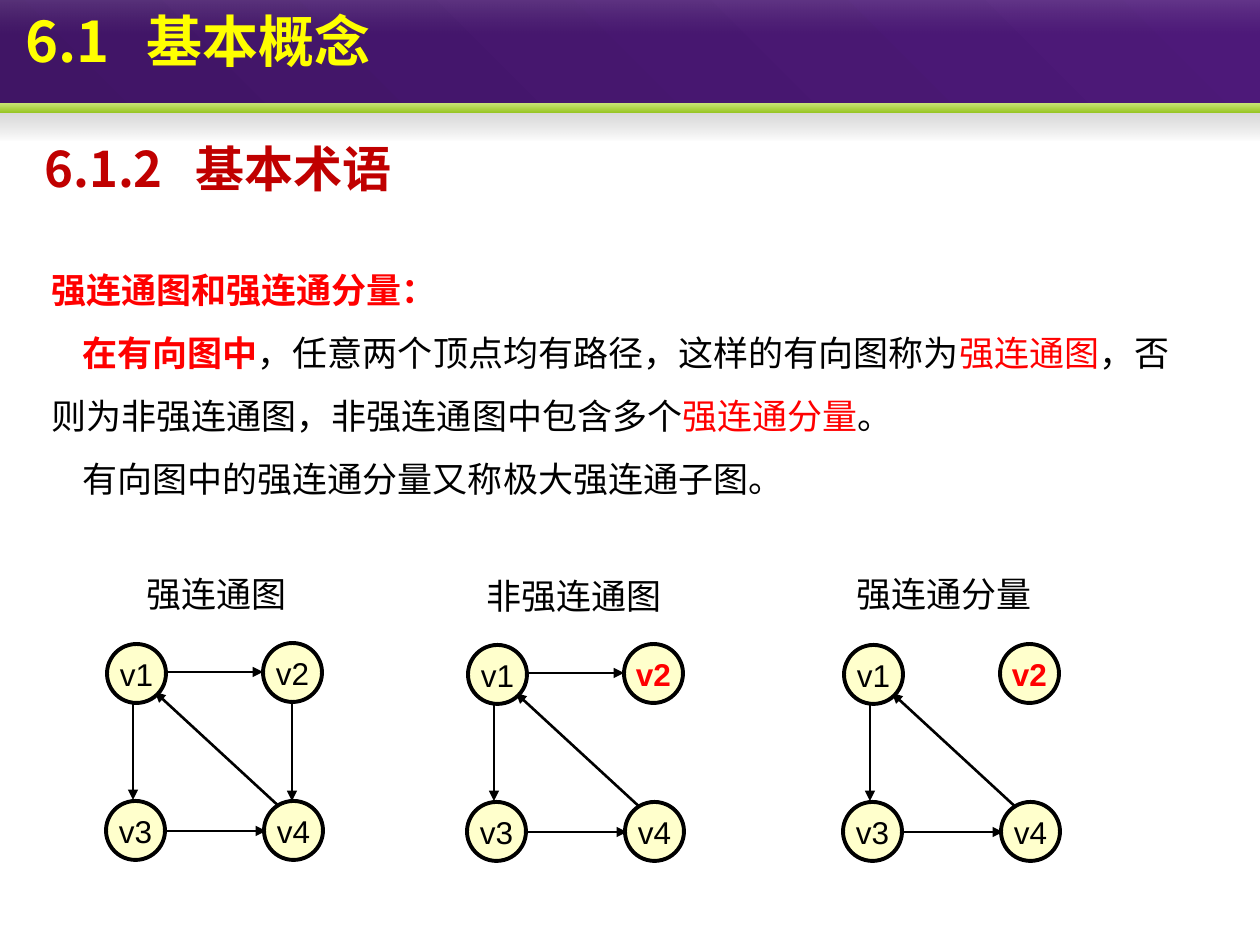
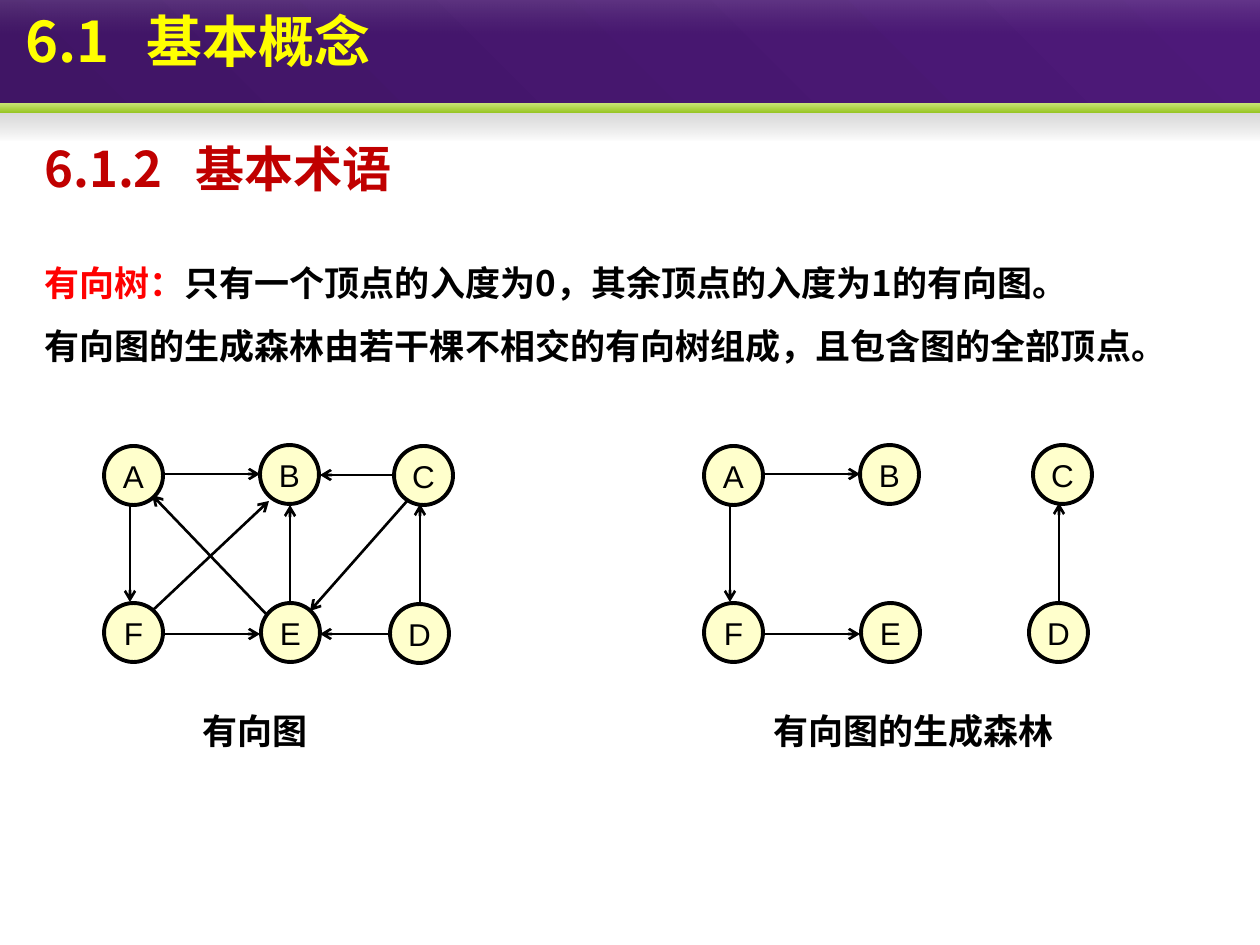
from lxml.etree import SubElement
from pptx import Presentation
from pptx.dml.color import RGBColor
from pptx.enum.shapes import MSO_CONNECTOR, MSO_SHAPE
from pptx.enum.text import MSO_ANCHOR, MSO_AUTO_SIZE, PP_ALIGN
from pptx.oxml.ns import qn
from pptx.util import Inches, Pt

SCALE = Inches(1) / 126
SLIDE_WIDTH, SLIDE_HEIGHT = 1260, 945
NODE_SIZE = 59

BLACK = RGBColor(0x00, 0x00, 0x00)
RED = RGBColor(0xFF, 0x00, 0x00)
DARK_RED = RGBColor(0xC0, 0x00, 0x00)
YELLOW = RGBColor(0xFF, 0xFF, 0x00)
CREAM = RGBColor(0xFF, 0xFF, 0xCC)
WHITE = RGBColor(0xFF, 0xFF, 0xFF)
SILVER = RGBColor(0xB6, 0xB6, 0xB6)
GREY = RGBColor(0x80, 0x80, 0x80)
DARK_GREY = RGBColor(0x5C, 0x5C, 0x5C)
DEEP_PURPLE = RGBColor(0x40, 0x15, 0x65)
PURPLE = RGBColor(0x4D, 0x19, 0x79)
LIGHT_GREEN = RGBColor(0xC9, 0xE5, 0x76)
GREEN = RGBColor(0x97, 0xC5, 0x23)

CJK_FONT = "Noto Sans CJK SC"
TITLE_FONT = {"name": CJK_FONT, "size": Pt(32), "bold": True}
SUBTITLE_FONT = {"name": CJK_FONT, "size": Pt(28), "bold": True}
BODY_FONT = {"name": CJK_FONT, "size": Pt(20)}
LABEL_FONT = {"name": "Arial", "size": Pt(20)}
NODE_FONT = {"name": "Arial", "size": Pt(18)}

BODY_FRAME = {"word_wrap": True, "auto_size": MSO_AUTO_SIZE.SHAPE_TO_FIT_TEXT}
LABEL_FRAME = {"word_wrap": False, "auto_size": MSO_AUTO_SIZE.SHAPE_TO_FIT_TEXT}
TITLE_FRAME = {"word_wrap": True, "auto_size": MSO_AUTO_SIZE.NONE,
               "vertical_anchor": MSO_ANCHOR.TOP}
SUBTITLE_FRAME = {"word_wrap": True, "vertical_anchor": MSO_ANCHOR.MIDDLE}
NODE_FRAME = {"word_wrap": False, "vertical_anchor": MSO_ANCHOR.MIDDLE}

# Each band: box, top or start colour and opacity, end colour and opacity, angle
BANDS = [
    ((0, 0, SLIDE_WIDTH, 113), (DEEP_PURPLE, 100), (PURPLE, 100), 45),
    ((0, 111, SLIDE_WIDTH, 30), (GREY, 33), (DARK_GREY, 0), 270),
    ((0, 103, SLIDE_WIDTH, 10), (LIGHT_GREEN, 100), (GREEN, 100), 270),
    ((0, 0, SLIDE_WIDTH, 35), (WHITE, 13), (SILVER, 0), 270),
]

VERTICES = {"v1": (0, 0), "v2": (156, -1), "v3": (-1, 157), "v4": (157, 157)}
ARCS = {
    "v1v2": (58, 28, 156, 28), "v1v3": (26, 57, 26, 156),
    "v4v1": (176, 166, 48, 48), "v3v4": (59, 187, 159, 187),
    "v2v4": (185, 58, 185, 157),
}
LETTERS = {"A": (0, 0), "B": (156, -1), "C": (290, 0),
           "D": (286, 158), "E": (157, 157), "F": (0, 157)}
LETTER_ARCS = {
    "AB": (57, 28, 156, 28), "AF": (26, 57, 26, 156),
    "EB": (186, 158, 186, 59), "FB": (48, 165, 165, 55),
    "EA": (166, 172, 48, 49), "FE": (57, 188, 156, 188),
    "CB": (290, 29, 216, 29), "DC": (316, 157, 316, 58),
    "DE": (290, 188, 216, 188), "CE": (304, 54, 206, 165),
}


def px(*lengths):
    """Turn px lengths into EMU."""
    return [round(length * SCALE) for length in lengths]


def apply(target, formats):
    """Set every attribute named in a dict of format values."""
    for attribute, value in formats.items():
        setattr(target, attribute, value)


def add_run(paragraph, words, font, color=BLACK, bold=None):
    """Append a formatted run, with the CJK font for Chinese glyphs."""
    run = paragraph.add_run()
    run.text = words
    apply(run.font, font)
    if bold is not None:
        run.font.bold = bold
    run.font.color.rgb = color
    SubElement(run.font._element, qn("a:ea"), typeface=CJK_FONT)


def add_text_box(slide, box, frame_format):
    """Add an empty text box and return its frame."""
    frame = slide.shapes.add_textbox(*px(*box)).text_frame
    apply(frame, frame_format)
    return frame


def write_heading(paragraph, number, name, gap, font, color):
    """Write a section number and, at a tab stop, its name."""
    tabs = SubElement(paragraph._p.get_or_add_pPr(), qn("a:tabLst"))
    SubElement(tabs, qn("a:tab"), pos=str(px(gap)[0]), algn="l")
    add_run(paragraph, f"{number}\t{name}", font, color)


def add_band(slide, box, start, end, angle):
    """Draw one gradient band."""
    band = slide.shapes.add_shape(MSO_SHAPE.RECTANGLE, *px(*box))
    band.shadow.inherit = False
    band.line.fill.background()
    band.fill.gradient()
    band.fill.gradient_angle = angle
    for stop, (color, _) in zip(band.fill.gradient_stops, (start, end)):
        stop.color.rgb = color
    tints = band._element.spPr.iter(qn("a:srgbClr"))
    for tint, (_, opacity) in zip(list(tints), (start, end)):
        if opacity < 100:
            SubElement(tint, qn("a:alpha"), val=str(opacity * 1000))


def add_section_slide(deck):
    """Add a slide with the bands, the title and the subtitle."""
    slide = deck.slides.add_slide(deck.slide_layouts[5])
    for band in BANDS:
        add_band(slide, *band)
    title = slide.shapes.title
    left, top, width, height = px(13, 0, 1247, 113)
    apply(title, {"left": left, "top": top, "width": width, "height": height})
    apply(title.text_frame, TITLE_FRAME)
    heading = title.text_frame.paragraphs[0]
    heading.alignment = PP_ALIGN.LEFT
    write_heading(heading, "6.1", "基本概念", 121, TITLE_FONT, YELLOW)
    slide.shapes._spTree.append(title._element)
    subtitle = add_text_box(slide, (32, 121, 425, 94), SUBTITLE_FRAME)
    write_heading(subtitle.paragraphs[0], "6.1.2", "基本术语", 151,
                  SUBTITLE_FONT, DARK_RED)
    return slide


def add_body(slide, box, paragraphs):
    """Write body paragraphs, each a first-line indent and its runs."""
    frame = add_text_box(slide, box, BODY_FRAME)
    for index, (indent, runs) in enumerate(paragraphs):
        paragraph = frame.add_paragraph() if index else frame.paragraphs[0]
        paragraph.line_spacing = 1.5
        paragraph._p.get_or_add_pPr().set("indent", str(px(indent)[0]))
        for words, color, bold in runs:
            add_run(paragraph, words, BODY_FONT, color, bold)


def add_label(slide, box, words, bold=False):
    """Write the caption of a graph."""
    frame = add_text_box(slide, box, LABEL_FRAME)
    add_run(frame.paragraphs[0], words, LABEL_FONT, BLACK, bold)


def add_arc(slide, ends, arrowhead):
    """Draw an arrow from one vertex to another."""
    arc = slide.shapes.add_connector(MSO_CONNECTOR.STRAIGHT, *px(*ends))
    arc.line.color.rgb = BLACK
    arc.line.width = Pt(1.5)
    SubElement(arc.line._get_or_add_ln(), qn("a:tailEnd"), type=arrowhead)
    SubElement(arc._element.spPr, qn("a:effectLst"))


def add_node(slide, left, top, name, isolated):
    """Draw a vertex; an isolated one has a bold red name."""
    node = slide.shapes.add_shape(
        MSO_SHAPE.OVAL, *px(left, top, NODE_SIZE, NODE_SIZE))
    node.shadow.inherit = False
    node.fill.solid()
    node.fill.fore_color.rgb = CREAM
    node.line.color.rgb = BLACK
    node.line.width = Pt(2.25)
    apply(node.text_frame, NODE_FRAME)
    paragraph = node.text_frame.paragraphs[0]
    paragraph.alignment = PP_ALIGN.CENTER
    add_run(paragraph, name, NODE_FONT, RED if isolated else BLACK, isolated)


def add_graph(slide, origin, nodes, arcs, arrowhead, isolated=()):
    """Draw the arcs and then the vertices from an origin."""
    x, y = origin
    for x1, y1, x2, y2 in arcs:
        add_arc(slide, (x + x1, y + y1, x + x2, y + y2), arrowhead)
    for name, (dx, dy) in nodes.items():
        add_node(slide, x + dx, y + dy, name, name in isolated)


def add_strong_connectivity(deck):
    """Build the slide on strongly connected graphs."""
    slide = add_section_slide(deck)
    add_body(slide, (39, 241, 1168, 267), [
        (0, [("强连通图和强连通分量：", RED, True)]),
        (31, [("在有向图中", RED, True),
              ("，任意两个顶点均有路径，这样的有向图称为", BLACK, False),
              ("强连通图", RED, False),
              ("，否则为非强连通图，非强连通图中包含多个", BLACK, False),
              ("强连通分量", RED, False),
              ("。", BLACK, False)]),
        (31, [("有向图中的强连通分量又称极大强连通子图。", BLACK, False)]),
    ])
    graphs = [
        ((107, 644), (134, 566, 166, 56), "强连通图", (), ()),
        ((468, 645), (474, 568, 202, 56), "非强连通图", ("v2v4",), ("v2",)),
        ((844, 645), (844, 566, 202, 56), "强连通分量",
         ("v2v4", "v1v2"), ("v2",)),
    ]
    for origin, label_box, label, missing, isolated in graphs:
        arcs = [ends for arc, ends in ARCS.items() if arc not in missing]
        add_graph(slide, origin, VERTICES, arcs, "triangle", isolated)
        add_label(slide, label_box, label)


def add_directed_tree(deck):
    """Build the slide on directed trees and spanning forests."""
    slide = add_section_slide(deck)
    add_body(slide, (32, 234, 1194, 140), [
        (0, [("有向树：", RED, True),
             ("只有一个顶点的入度为0，其余顶点的入度为1的有向图。", BLACK, True)]),
        (0, [("有向图的生成森林由若干棵不相交的有向树组成，且包含图的全部顶点。",
              BLACK, True)]),
    ])
    graphs = [
        ((104, 446), "ABCDEF", LETTER_ARCS),
        ((704, 446), "ABEF", ("AB", "AF", "FE")),
        ((743, 445), "CD", ("DC",)),
    ]
    for origin, names, arcs in graphs:
        nodes = {name: LETTERS[name] for name in names}
        add_graph(slide, origin, nodes, [LETTER_ARCS[arc] for arc in arcs], "arrow")
    add_label(slide, (190, 703, 131, 56), "有向图", True)
    add_label(slide, (761, 703, 310, 56), "有向图的生成森林", True)


def main():
    """Build and save the deck."""
    deck = Presentation()
    deck.slide_width, deck.slide_height = px(SLIDE_WIDTH, SLIDE_HEIGHT)
    add_strong_connectivity(deck)
    add_directed_tree(deck)
    deck.save("out.pptx")


if __name__ == "__main__":
    main()
